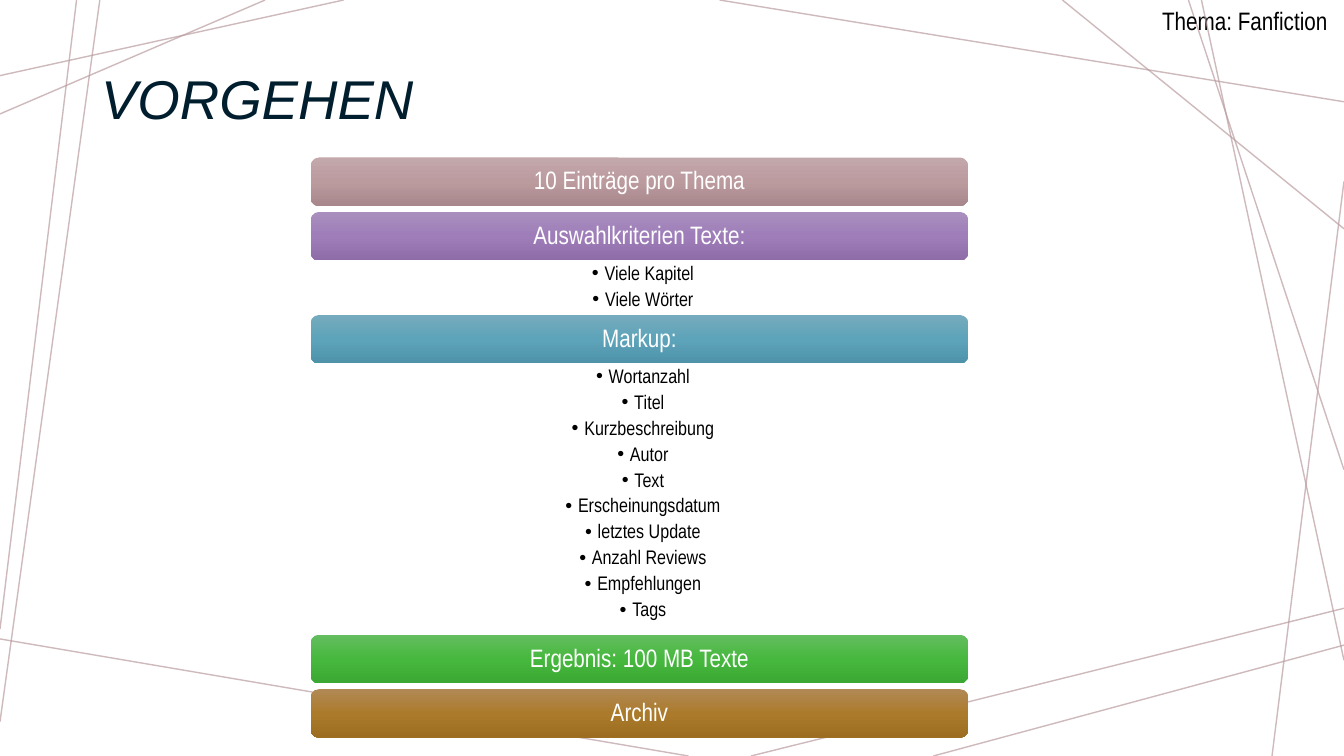
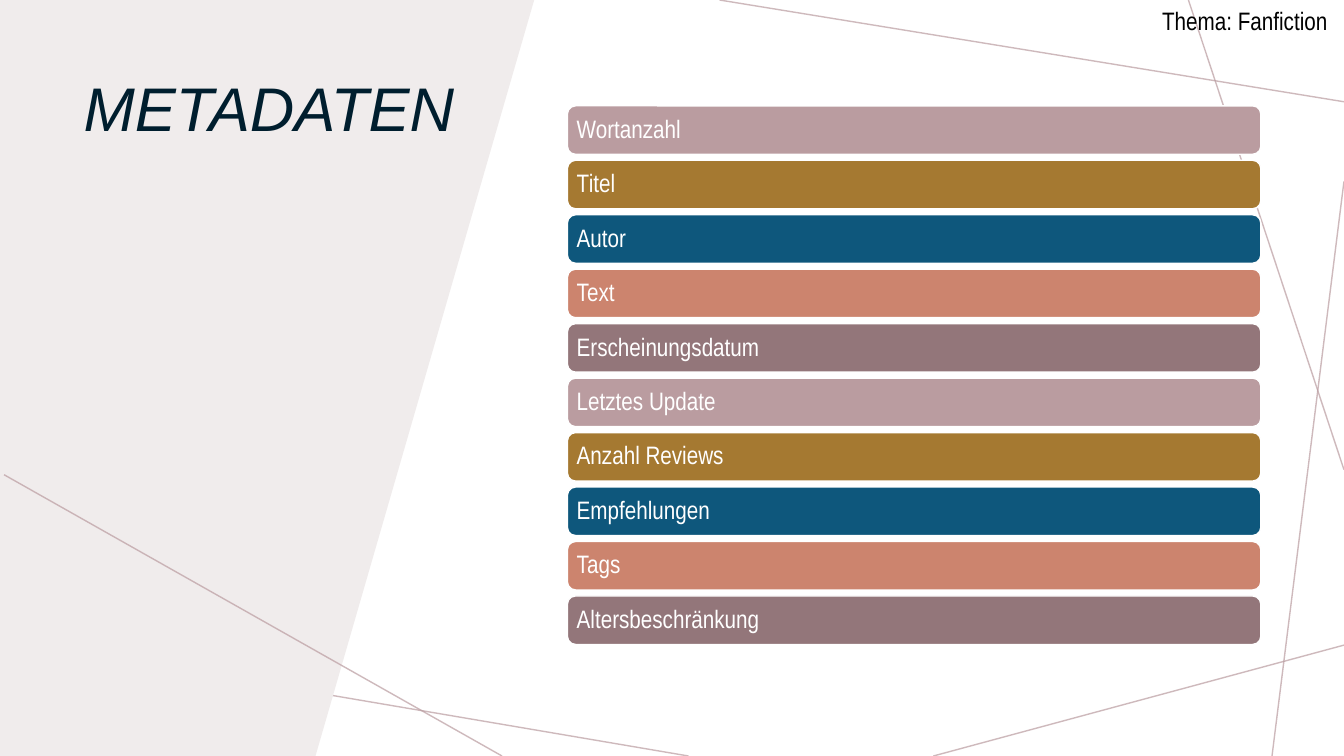
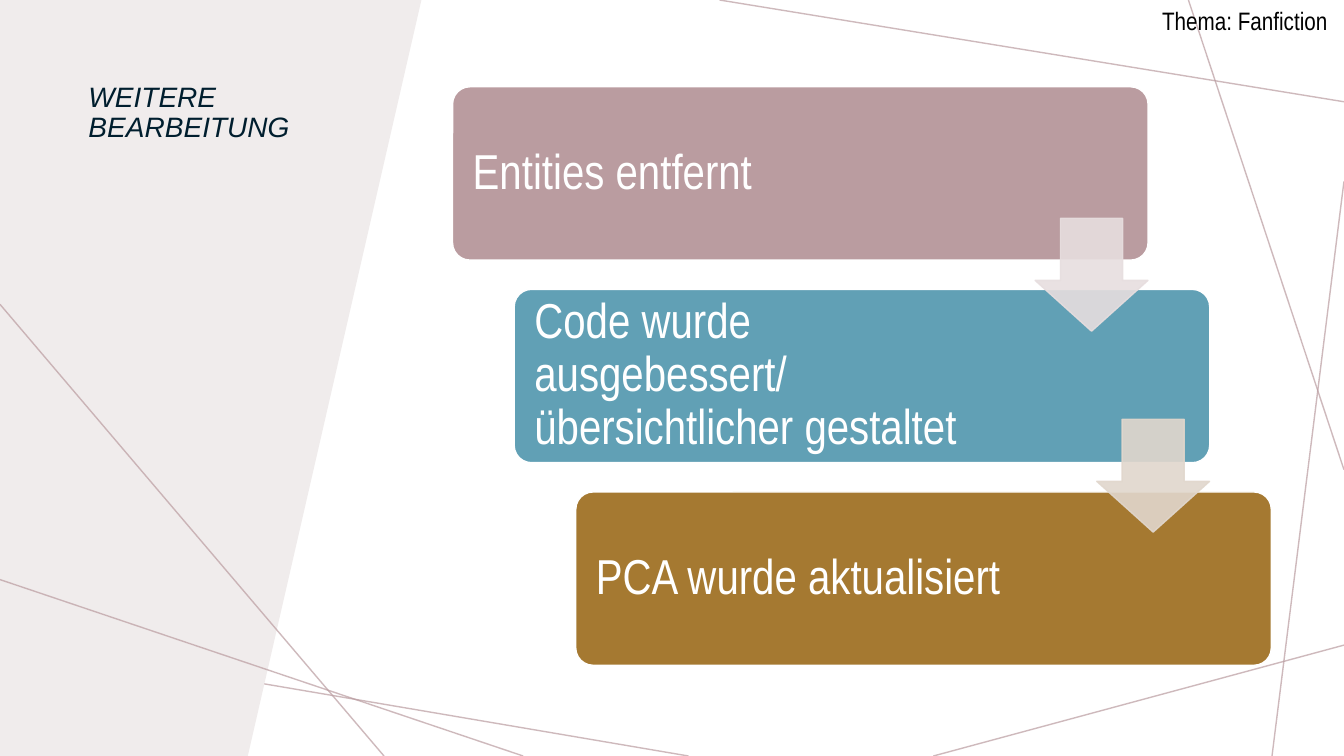
from lxml.etree import SubElement
from copy import deepcopy
from pptx import Presentation
from pptx.dml.color import RGBColor
from pptx.enum.shapes import MSO_CONNECTOR, MSO_SHAPE
from pptx.enum.text import MSO_ANCHOR, MSO_AUTO_SIZE, PP_ALIGN
from pptx.oxml.ns import qn
from pptx.util import Pt

# Colours
WHITE = RGBColor(0xFF, 0xFF, 0xFF)
BLACK = RGBColor(0x00, 0x00, 0x00)
NAVY = RGBColor(0x00, 0x1E, 0x2E)
PANEL = RGBColor(0xF0, 0xEC, 0xEC)
ROSE = RGBColor(0xBA, 0x9C, 0xA0)
GOLD = RGBColor(0xA5, 0x79, 0x31)
BLUE = RGBColor(0x0E, 0x57, 0x7C)
CORAL = RGBColor(0xCC, 0x84, 0x6E)
MAUVE = RGBColor(0x93, 0x76, 0x7A)
TEAL = RGBColor(0x61, 0xA0, 0xB5)
PALE_ROSE = RGBColor(0xE7, 0xDE, 0xDF)
PALE_GOLD = RGBColor(0xE1, 0xD7, 0xCD)

# Gradients from top to bottom
ROSE_FADE = [RGBColor(0xC2, 0xA7, 0xAB), RGBColor(0xBC, 0x9B, 0x9F), RGBColor(0xA8, 0x87, 0x8C)]
PLUM_FADE = [RGBColor(0xA9, 0x8F, 0xBE), RGBColor(0x9E, 0x7D, 0xB9), RGBColor(0x8D, 0x6C, 0xA7)]
TEAL_FADE = [RGBColor(0x76, 0xAB, 0xBD), RGBColor(0x5D, 0xA3, 0xB9), RGBColor(0x4E, 0x93, 0xA9)]
GREEN_FADE = [RGBColor(0x64, 0xBD, 0x5F), RGBColor(0x46, 0xB8, 0x3E), RGBColor(0x3A, 0xA8, 0x32)]
GOLD_FADE = [RGBColor(0xB1, 0x89, 0x55), RGBColor(0xAB, 0x7A, 0x2B), RGBColor(0x9D, 0x6E, 0x21)]

HEAD, BODY = "Arial", "Arial Narrow"
WIDE, HIGH = 960, 540
BAR = 34.6

# Thin lines behind every slide: x1, y1, x2, y2
WEB = [
    (245.5, 0, 0, 54), (71.3, 0, 0, 515.5), (491.8, HIGH, 0, 456.4),
    (WIDE, 460.8, 666.7, HIGH), (WIDE, 129.6, 908.6, HIGH),
    (WIDE, 335.5, 848.9, 0), (WIDE, 72.7, 514, 0),
]


class Deck:
    def __init__(self):
        self.prs = Presentation()
        self.prs.slide_width, self.prs.slide_height = Pt(WIDE), Pt(HIGH)
        self.slide = None

    def start(self):
        """Add a slide with the shared lines and topic label."""
        self.slide = self.prs.slides.add_slide(self.prs.slide_layouts[5])
        self.lines(WEB)
        label = self.slide.shapes.add_textbox(Pt(823), Pt(0), Pt(137), Pt(29))
        self.label(label.text_frame, ["Thema: Fanfiction"], 18, BLACK, space=1)

    def label(self, frame, texts, size, color, font=BODY, align=PP_ALIGN.LEFT,
              anchor=MSO_ANCHOR.TOP, pads=None, space=0.9):
        frame.text = "\n".join(texts)
        frame.word_wrap = True
        frame.auto_size = MSO_AUTO_SIZE.NONE
        frame.vertical_anchor = anchor
        if pads:
            (frame.margin_left, frame.margin_top,
             frame.margin_right, frame.margin_bottom) = map(Pt, pads)
        for para in frame.paragraphs:
            para.alignment = align
            para.line_spacing = space
            for run in para.runs:
                run.font.name, run.font.size = font, Pt(size)
                run.font.color.rgb = color

    def title(self, text, box, size, anchor=MSO_ANCHOR.TOP):
        shape = self.slide.shapes.title
        shape.left, shape.top, shape.width, shape.height = map(Pt, box)
        self.label(shape.text_frame, [text], size, NAVY, HEAD, anchor=anchor)
        shape.text_frame.paragraphs[0].runs[0].font.italic = True
        # Bring the title in front of the panel
        shape.element.getparent().append(shape.element)

    def fade(self, part, share):
        """Set the opacity of a solid fill or line in percent."""
        for tone in part.iter(qn("a:srgbClr")):
            SubElement(tone, qn("a:alpha")).set("val", str(share * 1000))

    def lines(self, ends):
        for end in ends:
            line = self.slide.shapes.add_connector(MSO_CONNECTOR.STRAIGHT, *map(Pt, end))
            line.line.color.rgb, line.line.width = ROSE, Pt(1)
            props = line.element.spPr
            self.fade(props, 70)
            SubElement(props, qn("a:effectLst"))

    def panel(self, points):
        pen = self.slide.shapes.build_freeform(Pt(0), Pt(0))
        pen.add_line_segments([(Pt(x), Pt(y)) for x, y in points])
        shape = pen.convert_to_shape()
        shape.shadow.inherit = False
        shape.fill.solid()
        shape.fill.fore_color.rgb = PANEL
        shape.line.fill.background()

    def shape(self, kind, box, fill, edge=None, adjust=()):
        """Add a preset shape; a list of colours makes a gradient."""
        shape = self.slide.shapes.add_shape(kind, *map(Pt, box))
        shape.shadow.inherit = False
        for i, value in enumerate(adjust):
            shape.adjustments[i] = value
        if isinstance(fill, list):
            shape.fill.gradient()
            shape.fill.gradient_angle = 270
            stops = shape.element.spPr.find(".//" + qn("a:gsLst"))
            stops.insert(1, deepcopy(stops[0]))
            for i, stop in enumerate(shape.fill.gradient_stops):
                stop.position, stop.color.rgb = i / 2, fill[i]
        else:
            shape.fill.solid()
            shape.fill.fore_color.rgb = fill
        if edge is None:
            shape.line.fill.background()
        else:
            shape.line.color.rgb, shape.line.width = edge, Pt(1)
        return shape

    def bar(self, text, box, fill, edge=None, align=PP_ALIGN.LEFT, size=18,
            pads=(5, 5, 5, 5), adjust=()):
        shape = self.shape(MSO_SHAPE.ROUNDED_RECTANGLE, box, fill, edge, adjust)
        self.label(shape.text_frame, [text], size, WHITE, align=align,
                   anchor=MSO_ANCHOR.MIDDLE, pads=pads)

    def arrow(self, box, color):
        shape = self.shape(MSO_SHAPE.DOWN_ARROW, box, color, color, (0.55, 0.45))
        self.fade(shape.element.spPr, 90)

    def bullets(self, texts, box):
        frame = self.slide.shapes.add_textbox(*map(Pt, box)).text_frame
        self.label(frame, texts, 14, BLACK, align=PP_ALIGN.CENTER, pads=(15, 2, 10, 2))
        for para in frame.paragraphs:
            para.space_after = Pt(3.4)
            props = para._p.get_or_add_pPr()
            props.set("marL", str(Pt(9)))
            props.set("indent", str(Pt(-9)))
            SubElement(props, qn("a:buFont")).set("typeface", HEAD)
            SubElement(props, qn("a:buChar")).set("char", "•")


def plan(deck):
    """Slide 1: bars, some with a bullet list below."""
    deck.start()
    deck.lines([
        (0, 449.3, 54.7, 0), (WIDE, 163.4, 758.9, 0), (858.2, 0, WIDE, 471.6),
        (189.4, 0, 0, 81.4), (536.4, HIGH, WIDE, 434.5),
    ])
    left, top, width = 222, 112.5, 469.5
    # Label, gradient, bullets, room below the bar
    parts = [
        ("10 Einträge pro Thema", ROSE_FADE, [], 4.3),
        ("Auswahlkriterien Texte:", PLUM_FADE, ["Viele Kapitel", "Viele Wörter"], 39),
        ("Markup:", TEAL_FADE, [
            "Wortanzahl", "Titel", "Kurzbeschreibung", "Autor", "Text",
            "Erscheinungsdatum", "letztes Update", "Anzahl Reviews",
            "Empfehlungen", "Tags"], 193.8),
        ("Ergebnis: 100 MB Texte", GREEN_FADE, [], 4.3),
        ("Archiv", GOLD_FADE, [], 0),
    ]
    for text, fill, items, room in parts:
        deck.bar(text, (left, top, width, BAR), fill, align=PP_ALIGN.CENTER)
        top += BAR
        if items:
            deck.bullets(items, (left, top, width, room))
        top += room
    deck.title("VORGEHEN", (65, 33, 650, 79), 39, MSO_ANCHOR.MIDDLE)


def data(deck):
    """Slide 2: ten bars in five repeating colours."""
    deck.start()
    deck.panel([(381.6, 0), (225.4, HIGH), (0, HIGH), (0, 0)])
    deck.title("METADATEN", (52.5, 52, 306, 281), 44)
    deck.lines([(2.9, 339.1, 358.6, HIGH)])
    tones = [ROSE, GOLD, BLUE, CORAL, MAUVE]
    names = ["Wortanzahl", "Titel", "Autor", "Text", "Erscheinungsdatum",
             "Letztes Update", "Anzahl Reviews", "Empfehlungen", "Tags",
             "Altersbeschränkung"]
    for i, name in enumerate(names):
        deck.bar(name, (405.3, 75.6 + 38.9 * i, 495.3, BAR), tones[i % len(tones)], WHITE)


def steps(deck):
    """Slide 3: three stepped boxes joined by arrows."""
    deck.start()
    deck.panel([(301, 0), (177, HIGH), (0, HIGH), (0, 0)])
    deck.title("WEITERE BEARBEITUNG", (56, 56, 194.5, 146), 20)
    deck.lines([(0, 217.4, 274.3, HIGH), (373.7, HIGH, 0, 414)])
    boxes = [
        ("Entities entfernt", ROSE),
        ("Code wurde ausgebessert/ übersichtlicher gestaltet", TEAL),
        ("PCA wurde aktualisiert", GOLD),
    ]
    shift = 44
    for i, (text, fill) in enumerate(boxes):
        deck.bar(text, (323.3 + shift * i, 62 + 144.7 * i, 496.8, 123.8), fill, WHITE,
                 size=35, pads=(10.8, 10.8, 137, 10.8), adjust=[0.1])
    for i, color in enumerate([PALE_ROSE, PALE_GOLD]):
        deck.arrow((739.4 + shift * i, 156 + 143.5 * i, 80.6, 80.6), color)


def main():
    deck = Deck()
    for build in (plan, data, steps):
        build(deck)
    deck.prs.save("out.pptx")


if __name__ == "__main__":
    main()
